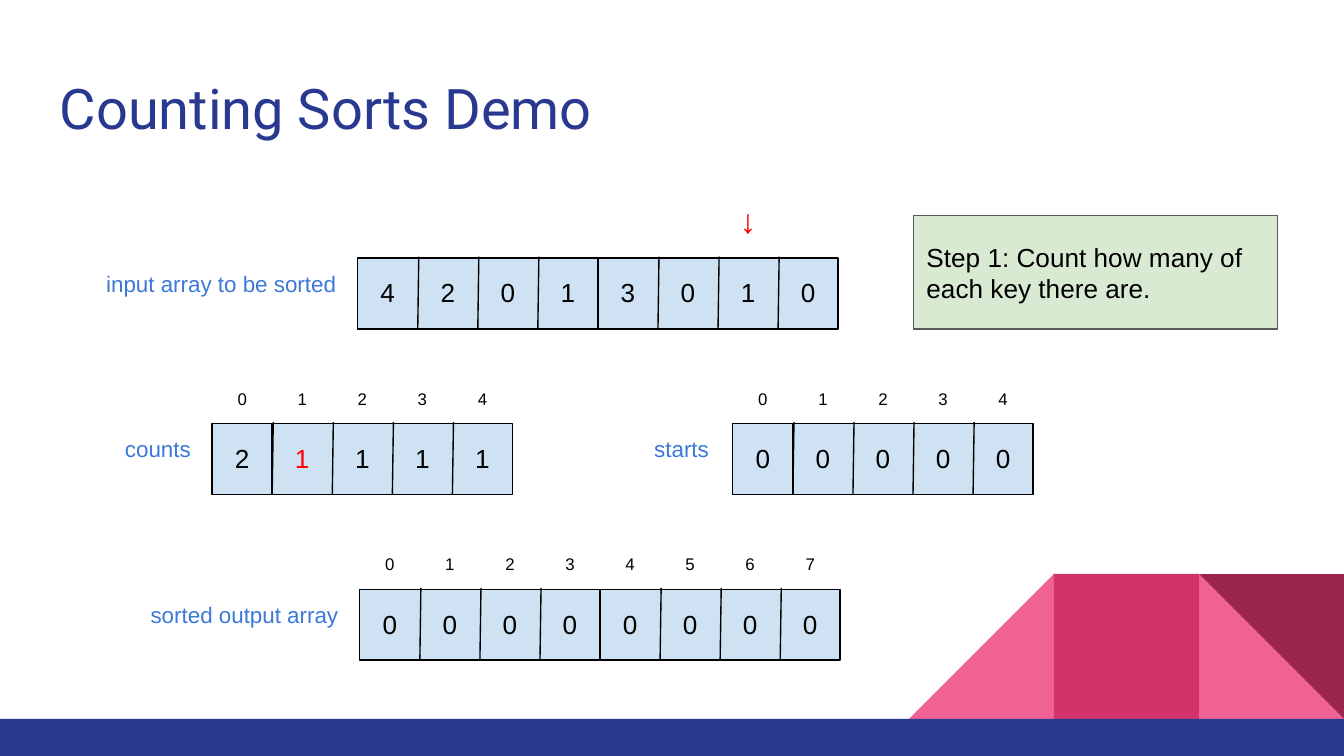
from lxml import etree
from pptx import Presentation
from pptx.dml.color import RGBColor
from pptx.enum import shapes, text
from pptx.oxml.ns import qn
from pptx.util import Cm, Pt

NAVY = RGBColor(0x2A, 0x39, 0x90)
PINK = RGBColor(0xF0, 0x62, 0x92)
ROSE = RGBColor(0xD2, 0x33, 0x69)
WINE = RGBColor(0x9C, 0x25, 0x4D)
PALE_BLUE = RGBColor(0xCF, 0xE2, 0xF3)
PALE_GREEN = RGBColor(0xD9, 0xEA, 0xD3)
LABEL_BLUE = RGBColor(0x3C, 0x78, 0xD8)
GREY = RGBColor(0x59, 0x59, 0x59)
BLACK = RGBColor(0, 0, 0)
RED = RGBColor(0xFF, 0, 0)

LEFT, CENTER, RIGHT = text.PP_ALIGN.LEFT, text.PP_ALIGN.CENTER, text.PP_ALIGN.RIGHT
TOP, MIDDLE = text.MSO_ANCHOR.TOP, text.MSO_ANCHOR.MIDDLE
RECT = shapes.MSO_SHAPE.RECTANGLE
TRIANGLE = shapes.MSO_SHAPE.RIGHT_TRIANGLE

WIDTH, HEIGHT = 25.4, 14.29
BAR_CELLS, BAR_W = 4, 4.54
CELL_W, CELL_H = BAR_W / BAR_CELLS, 1.36
INDEX_H = 0.89
INSET = Cm(0.25)
THIN = Pt(0.75)


def write(sp, words, size, color=BLACK, align=CENTER, anchor=MIDDLE, font="Arial"):
    tf = sp.text_frame
    tf.word_wrap = True
    tf.auto_size = text.MSO_AUTO_SIZE.NONE
    tf.vertical_anchor = anchor
    tf.margin_left = tf.margin_right = tf.margin_top = tf.margin_bottom = INSET
    tf.text = words
    p = tf.paragraphs[0]
    p.alignment = align
    r = p.runs[0]
    r.font.size, r.font.name = Pt(size), font
    r.font.color.rgb = color


def add_text(slide, box, words, size, **style):
    write(slide.shapes.add_textbox(*map(Cm, box)), words, size, **style)


def add_block(slide, box, fill, line=None, kind=RECT, rotation=0):
    sp = slide.shapes.add_shape(kind, *map(Cm, box))
    sp.shadow.inherit = False
    sp.rotation = rotation
    sp.fill.solid()
    sp.fill.fore_color.rgb = fill
    if line is None:
        sp.line.fill.background()
    else:
        sp.line.color.rgb = line
        sp.line.width = THIN
    return sp


def add_divider(slide, x, top):
    """A cell border that leans very slightly to the right."""
    line = slide.shapes.add_connector(
        shapes.MSO_CONNECTOR.STRAIGHT,
        Cm(x + 0.02), Cm(top), Cm(x), Cm(top + CELL_H))
    line.line.color.rgb = BLACK
    line.line.width = THIN
    etree.SubElement(line._element.spPr, qn("a:effectLst"))


def add_corner(slide, left, top, side):
    """Three squares of folded paper, the last one split diagonally."""
    first, second, third = ((left + i * side, top, side, side) for i in range(3))
    add_block(slide, third, PINK, kind=TRIANGLE)
    add_block(slide, first, PINK, kind=TRIANGLE, rotation=270)
    add_block(slide, second, ROSE)
    add_block(slide, third, WINE, kind=TRIANGLE, rotation=180)


def add_title(slide, box, words):
    title = slide.shapes.title
    title.left, title.top, title.width, title.height = map(Cm, box)
    write(title, words, 30, color=NAVY, align=LEFT, anchor=TOP, font="Roboto")


def add_cells(slide, left, top, count):
    """Two bars of four cells, which overlap when there are fewer than eight."""
    second = count - BAR_CELLS
    for start in (0, second):
        add_block(slide, (left + start * CELL_W, top + 0.03, BAR_W, CELL_H - 0.02),
                  PALE_BLUE, BLACK)
    for i in range(1, count):
        if not i == BAR_CELLS == second:
            add_divider(slide, left + i * CELL_W, top)


def add_array(slide, left, top, label, label_w, values,
              indexed=True, changed=None, pointer=None, gap=0.15):
    """A row of cells with its label, and optional indices, red value and arrow."""
    add_text(slide, (left - gap - label_w, top, label_w, CELL_H), label, 12,
             color=LABEL_BLUE, align=RIGHT, anchor=TOP)
    add_cells(slide, left, top, len(values))
    for i, value in enumerate(values):
        x = left + i * CELL_W
        add_text(slide, (x, top, CELL_W, CELL_H), str(value), 14,
                 color=RED if i == changed else BLACK)
        if indexed:
            add_text(slide, (x, top - INDEX_H, CELL_W, INDEX_H), str(i), 9, anchor=TOP)
        if i == pointer:
            add_text(slide, (x, top - CELL_H, CELL_W, CELL_H), "↓", 18, color=RED)


def add_step(slide, box, words):
    write(add_block(slide, box, PALE_GREEN, GREY), words, 14, align=LEFT)


def main():
    prs = Presentation()
    prs.slide_width, prs.slide_height = Cm(WIDTH), Cm(HEIGHT)
    slide = prs.slides.add_slide(prs.slide_layouts[5])

    side, floor = 2.74, 13.59
    add_corner(slide, WIDTH - 3 * side, floor - side, side)
    add_block(slide, (0, floor, WIDTH, HEIGHT - floor), NAVY)

    add_title(slide, (0.88, 1.14, 23.67, 1.68), "Counting Sorts Demo")
    add_array(slide, 6.76, 4.85, "input array to be sorted", 5.46,
              [4, 2, 0, 1, 3, 0, 1, 0], indexed=False, pointer=6)
    add_array(slide, 4.01, 7.98, "counts", 2.69, [2, 1, 1, 1, 1], changed=1)
    add_array(slide, 13.85, 7.98, "starts", 2.69, [0] * 5, gap=0.2)
    add_array(slide, 6.8, 11.11, "sorted output array", 4.8, [0] * 8)
    add_step(slide, (17.26, 4.08, 6.88, 2.14),
             "Step 1: Count how many of each key there are.")
    prs.save("out.pptx")


if __name__ == "__main__":
    main()
